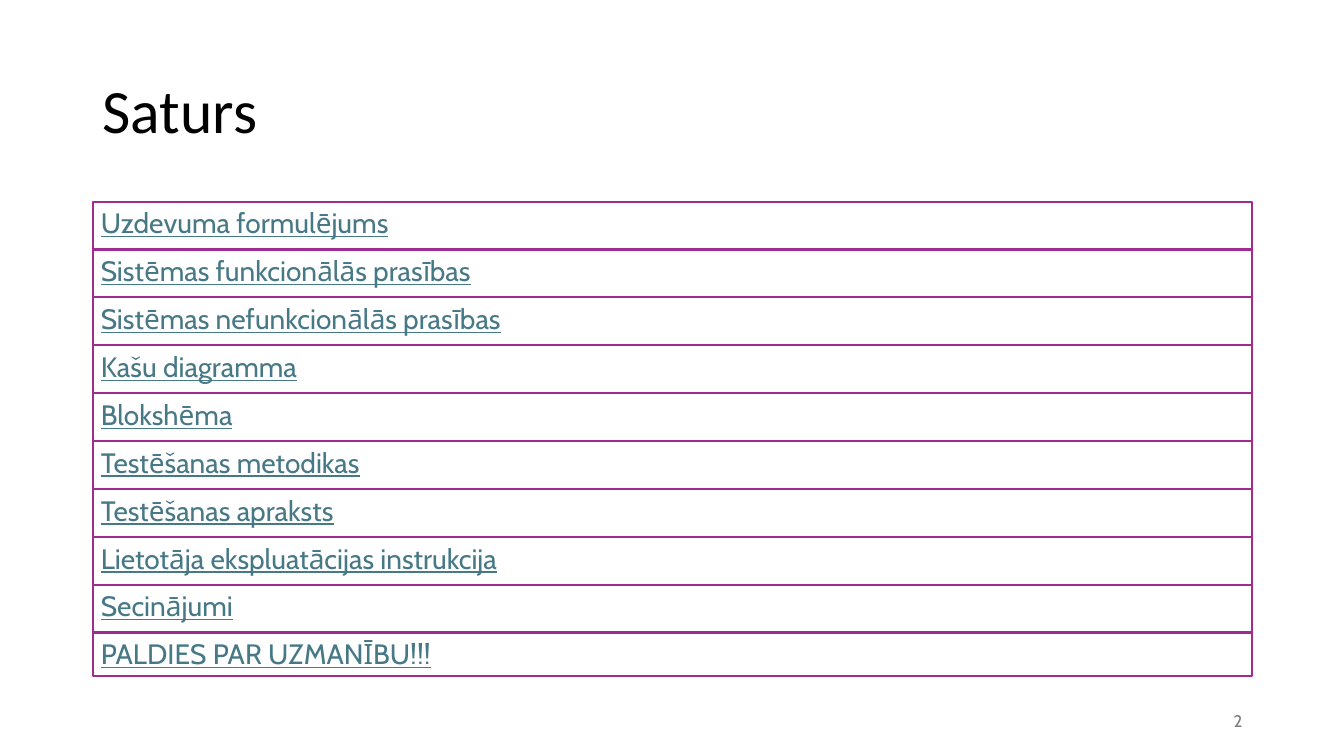
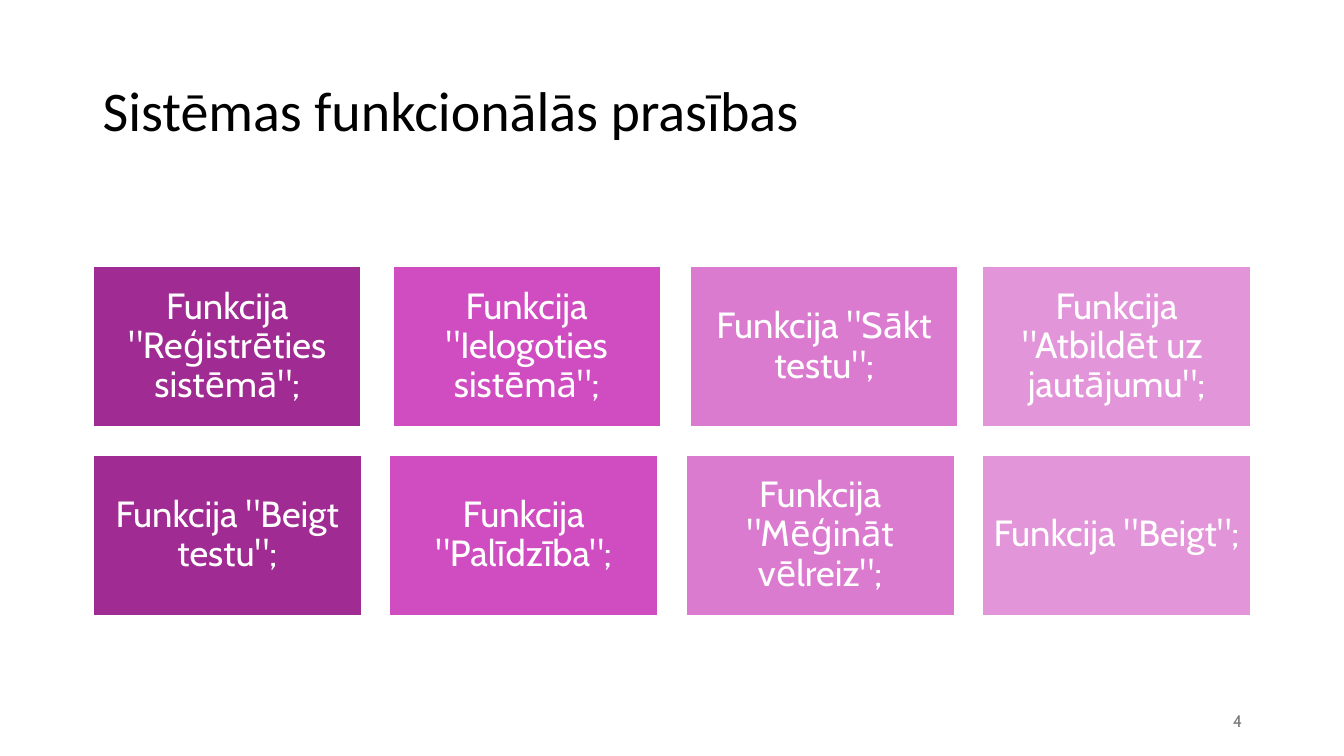
import pptx
import pptx.util
import pptx.dml.color
import pptx.enum.shapes
import pptx.enum.text
from dataclasses import dataclass

Inches = pptx.util.Inches
Pt = pptx.util.Pt
RGB = pptx.dml.color.RGBColor.from_string
ALIGN = pptx.enum.text.PP_ALIGN
ANCHOR = pptx.enum.text.MSO_ANCHOR


@dataclass(frozen=True)
class Theme:
    title_font: str = "Calibri"
    body_font: str = "Cabin"
    black: str = "000000"
    white: str = "FFFFFF"
    link: str = "467886"
    number: str = "797979"
    border: str = "A02B93"
    cards: tuple = ("A02B93", "CF4DC0", "DB7BD0", "E296D9")
    contents_size: int = 20
    card_size: int = 26
    number_size: int = 12
    left: float = 0.92
    width: float = 11.5


theme = Theme()


def write(sp, text, size, color, font=theme.body_font, align=ALIGN.LEFT,
          anchor=ANCHOR.MIDDLE, inset=(0.1, 0.05), spacing=0.9, underline=False):
    tf = sp.text_frame
    tf.word_wrap = True
    tf.vertical_anchor = anchor
    tf.margin_left = tf.margin_right = Inches(inset[0])
    tf.margin_top = tf.margin_bottom = Inches(inset[1])
    p = tf.paragraphs[0]
    p.alignment = align
    p.line_spacing = spacing
    r = p.add_run()
    r.text = text
    r.font.size = Pt(size)
    r.font.name = font
    r.font.color.rgb = RGB(color)
    r.font.underline = underline


def add_rect(s, left, top, width, height, fill, line, line_width):
    sp = s.shapes.add_shape(pptx.enum.shapes.MSO_SHAPE.RECTANGLE,
                            Inches(left), Inches(top), Inches(width), Inches(height))
    sp.shadow.inherit = False
    sp.fill.solid()
    sp.fill.fore_color.rgb = RGB(fill)
    sp.line.color.rgb = RGB(line)
    sp.line.width = Pt(line_width)
    return sp


prs = pptx.Presentation()
prs.slide_width = Inches(13.33)
prs.slide_height = Inches(7.5)

slides = []
for title, title_size, number in [
    ("Saturs", 44, "2"),
    ("Sistēmas funkcionālās prasības", 40, "4"),
]:
    s = prs.slides.add_slide(prs.slide_layouts[6])
    sp = s.shapes.add_textbox(Inches(theme.left), Inches(0.4), Inches(theme.width), Inches(1.45))
    write(sp, title, title_size, theme.black, font=theme.title_font)
    sp = s.shapes.add_textbox(Inches(9.42), Inches(6.95), Inches(3), Inches(0.4))
    write(sp, number, theme.number_size, theme.number, align=ALIGN.RIGHT, spacing=1.0)
    slides.append(s)

contents_slide, functions_slide = slides

contents = [
    "Uzdevuma formulējums",
    "Sistēmas funkcionālās prasības",
    "Sistēmas nefunkcionālās prasības",
    "Kašu diagramma",
    "Blokshēma",
    "Testēšanas metodikas",
    "Testēšanas apraksts",
    "Lietotāja ekspluatācijas instrukcija",
    "Secinājumi",
    "PALDIES PAR UZMANĪBU!!!",
]
row_height = 4.75 / len(contents)
for i, entry in enumerate(contents):
    height = 0.43 if i == len(contents) - 1 else row_height
    sp = add_rect(contents_slide, theme.left, 2 + i * row_height, theme.width, height,
                  theme.white, theme.border, 1.5)
    write(sp, entry, theme.contents_size, theme.link, anchor=ANCHOR.TOP,
          inset=(0.08, 0.08), underline=True)

card_rows = [
    (2.64, (0.92, 3.89, 6.84, 9.74), (2, 2, 2, 1.5), (
        'Funkcija "Reģistrēties sistēmā";',
        'Funkcija "Ielogoties sistēmā";',
        'Funkcija "Sākt testu";',
        'Funkcija "Atbildēt uz  jautājumu";',
    )),
    (4.51, (0.92, 3.86, 6.8, 9.74), (1.5, 1.5, 1.5, 1.5), (
        'Funkcija "Beigt testu";',
        'Funkcija "Palīdzība";',
        'Funkcija "Mēģināt vēlreiz";',
        'Funkcija "Beigt";',
    )),
]
for top, lefts, line_widths, labels in card_rows:
    for left, line_width, label, fill in zip(lefts, line_widths, labels, theme.cards):
        sp = add_rect(functions_slide, left, top, 2.67, 1.6, fill, theme.white, line_width)
        write(sp, label, theme.card_size, theme.white, align=ALIGN.CENTER, inset=(0.11, 0.11))

prs.save("out.pptx")
